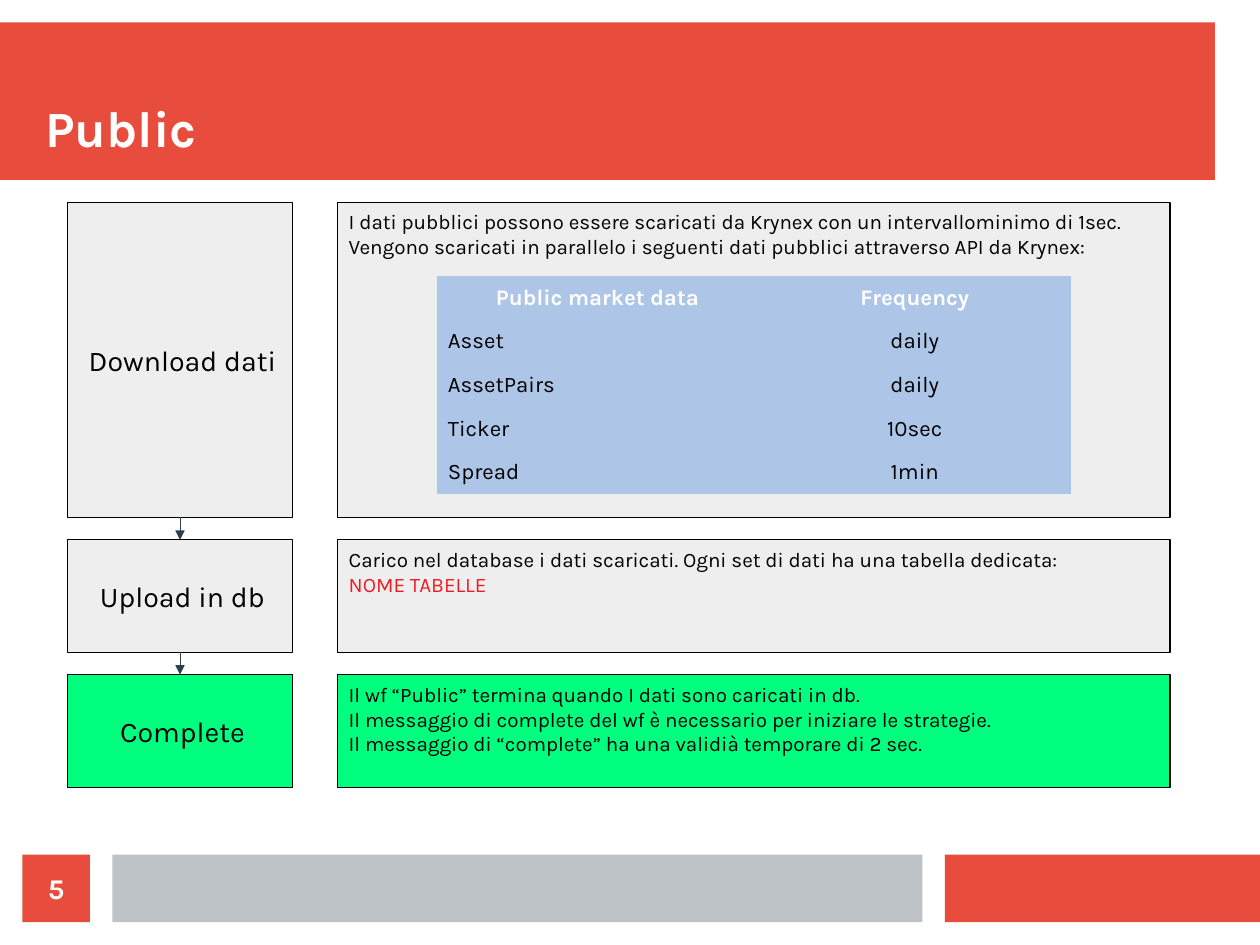
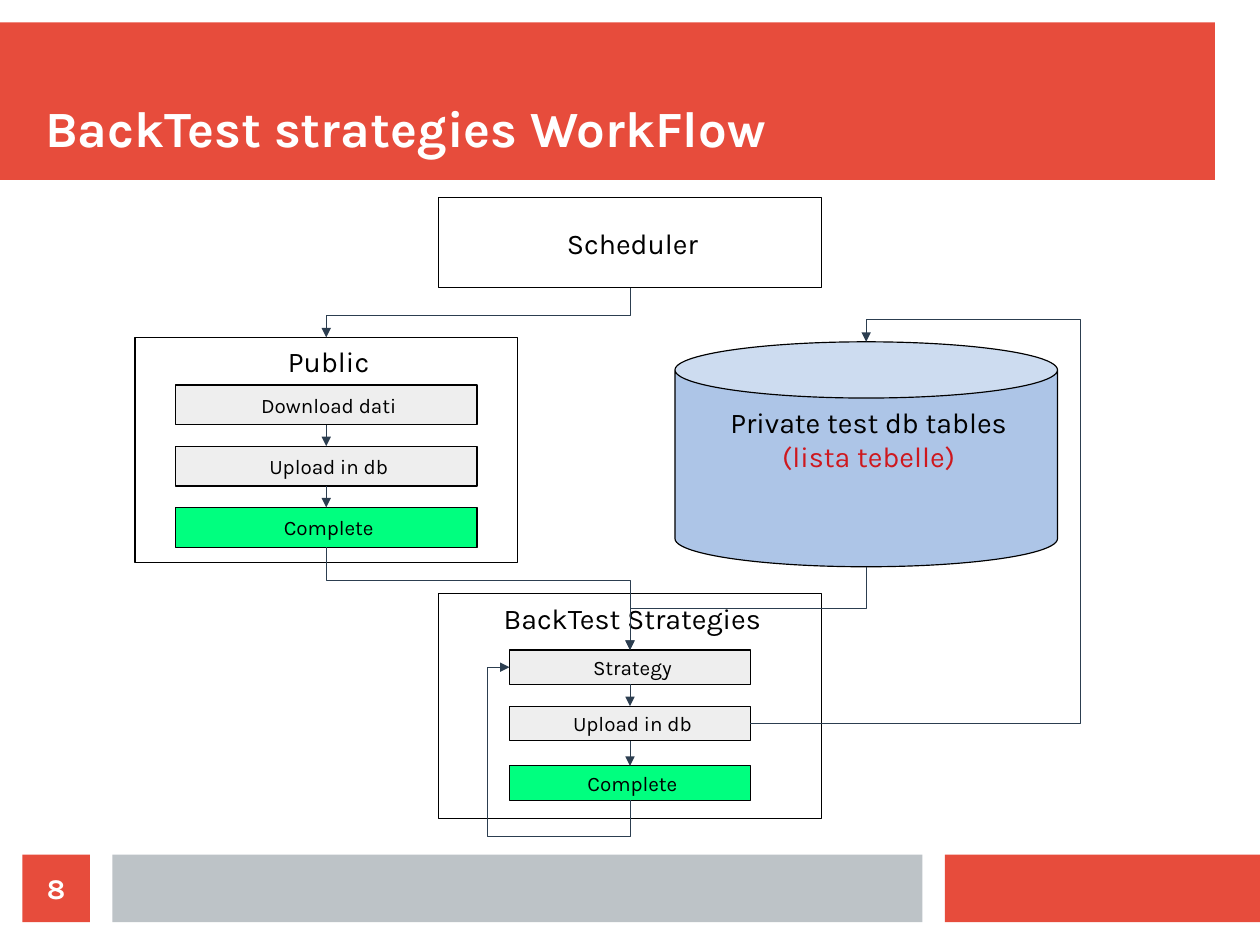
from itertools import pairwise

from lxml import etree
from pptx import Presentation
from pptx.dml.color import RGBColor
from pptx.enum.shapes import MSO_CONNECTOR, MSO_SHAPE
from pptx.enum.text import MSO_ANCHOR, MSO_AUTO_SIZE, PP_ALIGN
from pptx.oxml.ns import qn
from pptx.util import Pt

RED = RGBColor(0xE7, 0x4C, 0x3C)
SILVER = RGBColor(0xBD, 0xC3, 0xC7)
PALE = RGBColor(0xEE, 0xEE, 0xEE)
GREEN = RGBColor(0x00, 0xFF, 0x7F)
BLUE = RGBColor(0xAD, 0xC5, 0xE7)
NAVY = RGBColor(0x2C, 0x3E, 0x50)
WHITE = RGBColor(0xFF, 0xFF, 0xFF)
BLACK = RGBColor(0x00, 0x00, 0x00)
NOTE_RED = RGBColor(0xED, 0x1C, 0x24)
LIST_RED = RGBColor(0xCE, 0x18, 0x1E)

RECT, CAN = MSO_SHAPE.RECTANGLE, MSO_SHAPE.CAN
STRAIGHT = MSO_CONNECTOR.STRAIGHT
LEFT, CENTER = PP_ALIGN.LEFT, PP_ALIGN.CENTER
TOP, MIDDLE, BOTTOM = MSO_ANCHOR.TOP, MSO_ANCHOR.MIDDLE, MSO_ANCHOR.BOTTOM

FONT = "Karla"
PLAIN_TABLE = "{2D5ABB26-0587-4C30-8999-92F81FD0307C}"
TITLE_ONLY = 5

# Connection sites: rectangles, then the cylinder's own numbering
SITE_TOP, SITE_LEFT, SITE_BOTTOM, SITE_RIGHT = range(4)
CAN_TOP, CAN_BOTTOM = 1, 3


def grid(*steps):
    """Turn steps of the 14.17 pt layout grid into lengths."""
    return [Pt(round(step * 14.17, 2)) for step in steps]


# Text and boxes
def write_text(frame, lines, size=13, color=BLACK, bold=False, align=LEFT,
               indent=0, anchor=TOP, inset=(7.2, 4.3)):
    """Fill a frame; a line is a string or a (string, colour) pair."""
    frame.word_wrap = True
    frame.vertical_anchor = anchor
    frame.margin_left = frame.margin_right = Pt(inset[0])
    frame.margin_top = frame.margin_bottom = Pt(inset[1])
    for number, line in enumerate(lines):
        words, ink = (line, color) if isinstance(line, str) else line
        para = frame.add_paragraph() if number else frame.paragraphs[0]
        para.alignment = align
        if indent:
            properties = para._p.get_or_add_pPr()
            properties.set("marL", str(Pt(indent)))
            properties.set("indent", "0")
        span = para.add_run()
        span.text = words
        span.font.name, span.font.size = FONT, Pt(size)
        span.font.bold, span.font.color.rgb = bold, ink


def add_box(page, area, fill, lines=(), outline=BLACK, kind=RECT, **style):
    box = page.shapes.add_shape(kind, *grid(*area))
    box.shadow.inherit = False
    box.fill.solid()
    box.fill.fore_color.rgb = fill
    if outline is None:
        box.line.fill.background()
    else:
        box.line.color.rgb = outline
        box.line.width = Pt(0)
    if lines:
        write_text(box.text_frame, lines, **style)
    return box


def add_label(page, area, fill, *lines, size=18, anchor=MIDDLE, kind=RECT):
    return add_box(page, area, fill, lines, kind=kind, size=size,
                   anchor=anchor, align=CENTER, indent=3)


# Arrows
def link(page, source, source_site, target, target_site, head="a:tailEnd"):
    """Join two shapes with a straight arrow."""
    arrow = page.shapes.add_connector(STRAIGHT, 0, 0, 0, 0)
    arrow.begin_connect(source, source_site)
    arrow.end_connect(target, target_site)
    arrow.line.color.rgb = NAVY
    arrow.line.width = Pt(0.5)
    properties = arrow.element.spPr
    tip = etree.SubElement(properties.find(qn("a:ln")), qn(head))
    tip.set("type", "triangle")
    etree.SubElement(properties, qn("a:effectLst"))
    return arrow


def chain(page, boxes):
    for upper, lower in pairwise(boxes):
        link(page, upper, SITE_BOTTOM, lower, SITE_TOP)


def bend(arrow, preset, area, adjusts, **turn):
    """Give an arrow an elbow route in an unrotated area."""
    arrow.left, arrow.top, arrow.width, arrow.height = map(int, area)
    properties = arrow.element.spPr
    frame = properties.find(qn("a:xfrm"))
    for name in ("rot", "flipH", "flipV"):
        frame.attrib.pop(name, None)
    for name, value in turn.items():
        frame.set(name, value)
    geometry = properties.find(qn("a:prstGeom"))
    geometry.set("prst", preset)
    guides = geometry.find(qn("a:avLst"))
    for number, share in enumerate(adjusts, 1):
        guide = etree.SubElement(guides, qn("a:gd"))
        guide.set("name", f"adj{number}")
        guide.set("fmla", f"val {round(share * 100000)}")


def link_down(page, source, target, share, source_site=SITE_BOTTOM):
    """Go down, across at a share of the drop, then down again."""
    start_x, start_y = source.left + source.width / 2, source.top + source.height
    end_x, end_y = target.left + target.width / 2, target.top
    drop, reach = end_y - start_y, abs(end_x - start_x)
    area = ((start_x + end_x - drop) / 2, (start_y + end_y - reach) / 2,
            drop, reach)
    turn = {"rot": "5400000"}
    if end_x > start_x:
        turn["flipV"] = "1"
    arrow = link(page, source, source_site, target, SITE_TOP)
    bend(arrow, "bentConnector3", area, [share], **turn)


def link_back(page, strategy, complete):
    """Loop from the last step round the left to the first."""
    arrow = link(page, strategy, SITE_LEFT, complete, SITE_BOTTOM, "a:headEnd")
    top = strategy.top + strategy.height / 2
    width = complete.width / 2
    height = complete.top + complete.height - top
    bend(arrow, "bentConnector4", (strategy.left, top, width, height),
         [-Pt(14.17) / width, 1 + Pt(23) / height])


def link_store(page, upload, store):
    """Go right, up past the store and down onto its top."""
    arrow = link(page, upload, SITE_RIGHT, store, CAN_TOP)
    left = upload.left + upload.width
    width = store.left + store.width / 2 - left
    height = upload.top + upload.height / 2 - store.top
    across = store.left + store.width + Pt(14.17) - left
    bend(arrow, "bentConnector4", (left, store.top, width, height),
         [across / width, 1 + Pt(14.17) / height], flipV="1")


# Shared frame of the slides
def furnish_layout(layout, page):
    """Draw the bands on a page and move them to the layout."""
    bands = (((0, 1, 54, 7), RED), ((42, 38, 14, 3), RED),
             ((5, 38, 36, 3), SILVER))
    for number, (area, fill) in enumerate(bands, 20):
        band = add_box(page, area, fill, outline=None)
        band.element.nvSpPr.cNvPr.set("id", str(number))
        layout.shapes.element.insert(2, band.element)


def add_frame(page, title, number):
    heading = page.shapes.title
    heading.left, heading.top, heading.width, heading.height = grid(2, 2, 52, 5)
    heading.text_frame.auto_size = MSO_AUTO_SIZE.NONE
    write_text(heading.text_frame, [title], size=32, color=WHITE, bold=True,
               anchor=BOTTOM, inset=(0, 0))
    add_box(page, (1, 38, 3, 3), RED, [number], outline=None, size=18,
            color=WHITE, bold=True, align=CENTER, anchor=MIDDLE, inset=(0, 0))


# Slide of steps with explanations
def add_data_table(page, area, rows):
    table_shape = page.shapes.add_table(len(rows), len(rows[0]), *grid(*area))
    table = table_shape.table
    table.horz_banding = False
    table._tbl.tblPr.find(qn("a:tableStyleId")).text = PLAIN_TABLE
    for row_number, row in enumerate(rows):
        header = row_number == 0
        for column, words in enumerate(row):
            cell = table.cell(row_number, column)
            cell.fill.solid()
            cell.fill.fore_color.rgb = BLUE
            centred = header or column > 0
            write_text(cell.text_frame, [words], size=14, bold=header,
                       color=WHITE if header else BLACK,
                       align=CENTER if centred else LEFT,
                       indent=3 if centred else 0)
            cell.vertical_anchor = MIDDLE
            cell.margin_left = cell.margin_right = Pt(7.2)
            cell.margin_top = cell.margin_bottom = Pt(3.6)


def add_steps(page, left, top, steps):
    """Stack labelled steps, each with its explanation on the right."""
    labels = []
    for name, height, fill, lines in steps:
        add_box(page, (left + 12, top, 37, height), fill, lines)
        labels.append(add_label(page, (left, top, 10, height), fill, name))
        top += height + 1
    chain(page, labels)


def build_public(page):
    add_frame(page, "Public", "5")
    add_steps(page, 3, 9, [
        ("Download dati", 14, PALE, [
            "I dati pubblici possono essere scaricati da Krynex con un intervallominimo di 1sec.",
            "Vengono scaricati in parallelo i seguenti dati pubblici attraverso API da Krynex:"]),
        ("Upload in db", 5, PALE, [
            "Carico nel database i dati scaricati. Ogni set di dati ha una tabella dedicata:",
            ("NOME TABELLE", NOTE_RED)]),
        ("Complete", 5, GREEN, [
            "Il wf “Public” termina quando I dati sono caricati in db.",
            "Il messaggio di complete del wf è necessario per iniziare le strategie.",
            "Il messaggio di “complete” ha una validià temporare di 2 sec."]),
    ])
    add_data_table(page, (19.4, 12.27, 28.2, 9.7), [
        ("Public market data", "Frequency"), ("Asset", "daily"),
        ("AssetPairs", "daily"), ("Ticker", "10sec"), ("Spread", "1min")])


# Slide of the workflow
def add_panel(page, left, top, title, names, offsets, width, height):
    """Draw a titled panel with centred steps; the last one is green."""
    add_label(page, (left, top, 17, 10), WHITE, title, anchor=TOP)
    steps = []
    for name, offset in zip(names, offsets):
        fill = GREEN if name == names[-1] else PALE
        area = (left + (17 - width) / 2, top + offset, width, height)
        steps.append(add_label(page, area, fill, name, size=13))
    chain(page, steps)
    return steps


def build_workflow(page):
    add_frame(page, "BackTest strategies WorkFlow", "8")
    public = add_panel(page, 6, 15, "Public",
                       ("Download dati", "Upload in db", "Complete"),
                       (2.12, 4.84, 7.56), 13.4, 1.77)
    scheduler = add_label(page, (19.5, 8.8, 17, 4), WHITE, "Scheduler")
    strategy, upload, complete = add_panel(
        page, 19.5, 26.4, "BackTest Strategies",
        ("Strategy", "Upload in db", "Complete"), (2.5, 5, 7.65), 10.7, 1.53)
    store = add_label(page, (30, 15.2, 17, 10), BLUE, "Private test db tables",
                      ("(lista tebelle)", LIST_RED), anchor=TOP, kind=CAN)
    panel = next(shape for shape in page.shapes
                 if shape.has_text_frame and shape.text_frame.text == "Public")
    link_down(page, scheduler, panel, 0.55)
    link_down(page, public[-1], strategy, 0.32)
    link_down(page, store, strategy, 0.5, CAN_BOTTOM)
    link_back(page, strategy, complete)
    link_store(page, upload, store)


def main():
    deck = Presentation()
    deck.slide_width, deck.slide_height = Pt(793.5), Pt(595.4)
    layout = deck.slide_layouts[TITLE_ONLY]
    pages = [deck.slides.add_slide(layout) for _ in range(2)]
    furnish_layout(layout, pages[0])
    build_public(pages[0])
    build_workflow(pages[1])
    deck.save("out.pptx")


if __name__ == "__main__":
    main()
